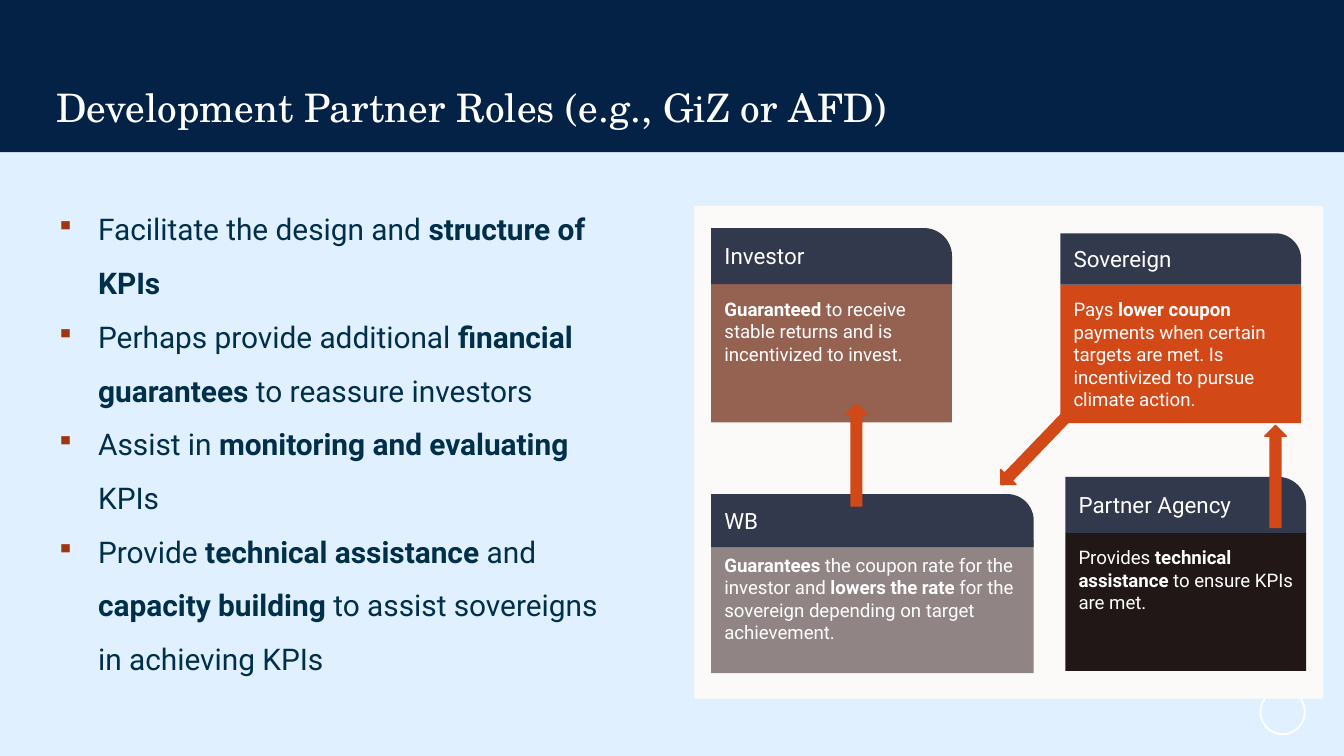
from pptx import Presentation
from pptx.dml.color import RGBColor
from pptx.enum.shapes import MSO_SHAPE
from pptx.enum.text import MSO_ANCHOR, PP_ALIGN
from pptx.oxml import parse_xml
from pptx.oxml.ns import nsdecls
from pptx.util import Pt

WHITE = RGBColor(0xFF, 0xFF, 0xFF)
PALE_BLUE = RGBColor(0xE0, 0xF0, 0xFF)
NAVY = RGBColor(0x04, 0x22, 0x45)
BODY_BLUE = RGBColor(0x00, 0x2F, 0x4A)
BULLET_RED = RGBColor(0x9E, 0x36, 0x11)
PANEL = RGBColor(0xFB, 0xFA, 0xF8)
SLATE = RGBColor(0x32, 0x39, 0x4D)
ORANGE = RGBColor(0xD3, 0x48, 0x17)
BROWN = RGBColor(0x95, 0x62, 0x51)
TAUPE = RGBColor(0x91, 0x84, 0x85)
BLACK = RGBColor(0x21, 0x17, 0x17)

TITLE = "Development Partner Roles (e.g., GiZ or AFD)"
ROLES = [
    "Facilitate the design and **structure of KPIs**",
    "Perhaps provide additional **financial guarantees** to reassure investors",
    "Assist in **monitoring and evaluating **KPIs",
    "Provide **technical assistance **and **capacity building **"
    "to assist sovereigns in achieving KPIs",
]
# heading, text, fill, left, width, header top, header height, body top, body height
CARDS = [
    ("WB", "**Guarantees** the coupon rate for the investor and **lowers the rate **"
     "for the sovereign depending on target achievement.",
     TAUPE, 381, 172.8, 264.7, 28.4, 289.4, 71.3),
    ("Sovereign", "Pays **lower coupon **payments when certain targets are met. "
     "Is incentivized to pursue climate action.",
     ORANGE, 568, 129, 125, 27.5, 152.5, 74.2),
    ("Investor", "**Guaranteed** to receive stable returns and is incentivized to invest.",
     BROWN, 381, 129, 122.2, 30, 152.2, 74.2),
    ("Partner Agency", "Provides** technical assistance **to ensure KPIs are met.",
     BLACK, 570.7, 129, 255.5, 30, 285.3, 74.2),
]
# left, top, rotation
ARROWS = [(431.5, 238, 270), (527.8, 234.2, 133.9), (656, 249.5, 270)]


class SlideBuilder:
    """Holds the text fonts and the slide being filled."""

    text_font = "Roboto"
    title_font = "TeX Gyre Schola"

    def __init__(self, presentation):
        self.slide = presentation.slides.add_slide(presentation.slide_layouts[5])
        fill = self.slide.background.fill
        fill.solid()
        fill.fore_color.rgb = PALE_BLUE

    def shape(self, kind, left, top, width, height, fill=None, line=None, line_width=0.75):
        shape = self.slide.shapes.add_shape(kind, Pt(left), Pt(top), Pt(width), Pt(height))
        shape.shadow.inherit = False
        if fill is None:
            shape.fill.background()
        else:
            shape.fill.solid()
            shape.fill.fore_color.rgb = fill
        if line is None:
            shape.line.fill.background()
        else:
            shape.line.color.rgb = line
            shape.line.width = Pt(line_width)
        return shape

    def rich_text(self, paragraph, text, size, color):
        """Fill a paragraph; parts between double asterisks are bold."""
        paragraph.alignment = PP_ALIGN.LEFT
        for index, part in enumerate(text.split("**")):
            if part:
                run = paragraph.add_run()
                run.text = part
                if index % 2:
                    run.font.bold = True
        font = paragraph.font
        font.name, font.size = self.text_font, Pt(size)
        font.color.rgb = color

    def title(self, text, left, top, width, height):
        title = self.slide.shapes.title
        # Bring the placeholder in front of the header band.
        self.slide.shapes._spTree.append(title._element)
        title.left, title.top, title.width, title.height = map(Pt, (left, top, width, height))
        frame = title.text_frame
        frame.text = text
        frame.word_wrap = True
        frame.vertical_anchor = MSO_ANCHOR.TOP
        paragraph = frame.paragraphs[0]
        paragraph.alignment = PP_ALIGN.LEFT
        paragraph.line_spacing = 0.9
        paragraph.font.name, paragraph.font.size = self.title_font, Pt(21)
        paragraph.font.color.rgb = WHITE

    def bullets(self, items, left, top, width, height):
        box = self.slide.shapes.add_textbox(Pt(left), Pt(top), Pt(width), Pt(height))
        frame = box.text_frame
        frame.word_wrap = True
        for index, item in enumerate(items):
            paragraph = frame.add_paragraph() if index else frame.paragraphs[0]
            paragraph.line_spacing = 1.5
            properties = paragraph._p.get_or_add_pPr()
            properties.set("marL", str(Pt(22.5)))
            properties.set("indent", str(Pt(-22.5)))
            for xml in (
                f'<a:buClr {nsdecls("a")}><a:srgbClr val="{BULLET_RED}"/></a:buClr>',
                f'<a:buSzPct {nsdecls("a")} val="85000"/>',
                f'<a:buChar {nsdecls("a")} char="▪"/>',
            ):
                properties.append(parse_xml(xml))
            self.rich_text(paragraph, item, 16, BODY_BLUE)

    def label(self, shape, text, size, anchor):
        frame = shape.text_frame
        frame.word_wrap = True
        frame.vertical_anchor = anchor
        frame.margin_left = frame.margin_right = Pt(7.2)
        frame.margin_top = frame.margin_bottom = Pt(7.2)
        self.rich_text(frame.paragraphs[0], text, size, WHITE)

    def card(self, heading, text, fill, left, width, header_top, header_height,
             body_top, body_height):
        body = self.shape(MSO_SHAPE.RECTANGLE, left, body_top, width, body_height, fill)
        self.label(body, text, 10, MSO_ANCHOR.TOP)
        header = self.shape(MSO_SHAPE.ROUND_1_RECTANGLE, left, header_top, width,
                            header_height, SLATE)
        header.adjustments[0] = 0.5
        self.label(header, heading, 12, MSO_ANCHOR.MIDDLE)

    def arrow(self, left, top, rotation):
        arrow = self.shape(MSO_SHAPE.RIGHT_ARROW, left, top, 54.7, 11.5, ORANGE, ORANGE)
        arrow.rotation = rotation


def main():
    presentation = Presentation()
    presentation.slide_width, presentation.slide_height = Pt(720), Pt(405)
    builder = SlideBuilder(presentation)
    builder.shape(MSO_SHAPE.OVAL, 675.2, 369.5, 23.8, 23.8, line=WHITE, line_width=1)
    builder.shape(MSO_SHAPE.RECTANGLE, 0, 0, 720, 81.5, NAVY)
    builder.title(TITLE, 23, 44, 674, 38)
    builder.bullets(ROLES, 23, 100, 309, 291)
    builder.shape(MSO_SHAPE.RECTANGLE, 372, 110.3, 337, 264, PANEL)
    for card in CARDS:
        builder.card(*card)
    for arrow in ARROWS:
        builder.arrow(*arrow)
    presentation.save("out.pptx")


if __name__ == "__main__":
    main()
